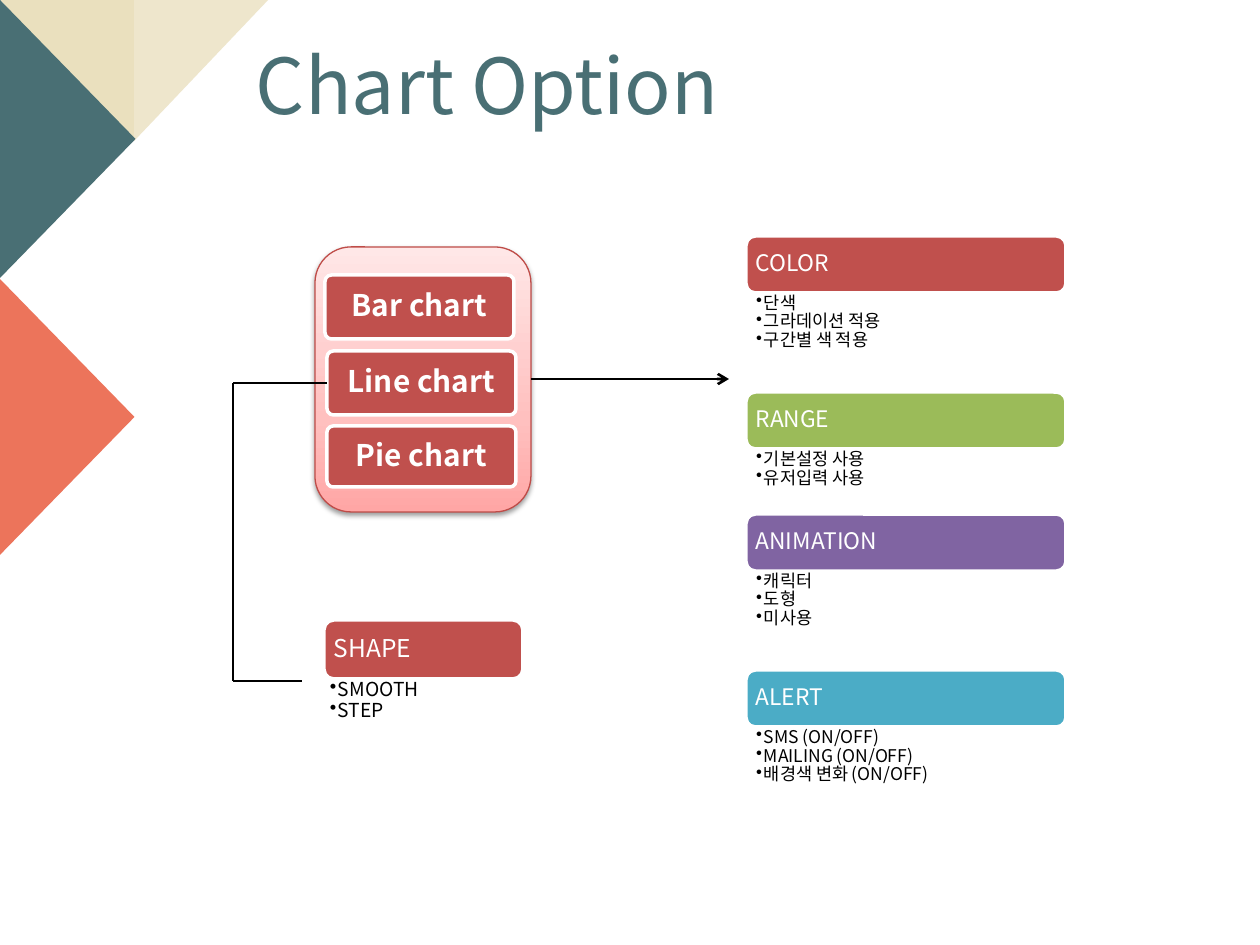
from dataclasses import dataclass

from lxml import etree
from pptx import Presentation
from pptx import util as u
from pptx.dml.color import RGBColor
from pptx.enum import shapes, text
from pptx.oxml import parse_xml
from pptx.oxml.ns import qn

FONT = "Noto Sans CJK KR"
WHITE, BLACK, RED, TEAL = "FFFFFF", "000000", "C0504D", "496F74"
DRAWING = 'xmlns:a="http://schemas.openxmlformats.org/drawingml/2006/main"'
ROUNDED = shapes.MSO_SHAPE.ROUNDED_RECTANGLE
MIDDLE = text.MSO_ANCHOR.MIDDLE
OPTION_LEFT, OPTION_WIDTH, OPTION_TOP, HEADER_STEP = 746, 320, 236, 56


@dataclass(frozen=True)
class Area:
    left: int
    top: int
    width: int
    height: int


@dataclass(frozen=True)
class Triangle:
    area: Area
    kind: shapes.MSO_SHAPE
    fill: str
    turn: int
    mirrored: bool = False


@dataclass(frozen=True)
class Option:
    title: str
    fill: str
    items: tuple[str, ...]


TRIANGLES = (
    Triangle(Area(0, 0, 134, 141), shapes.MSO_SHAPE.RIGHT_TRIANGLE, "EAE0BE", 180),
    Triangle(Area(134, 0, 134, 141), shapes.MSO_SHAPE.RIGHT_TRIANGLE, "EEE6CC", 180, True),
    Triangle(Area(-72, 71, 279, 136), shapes.MSO_SHAPE.ISOSCELES_TRIANGLE, TEAL, 90),
    Triangle(Area(-73, 349, 279, 136), shapes.MSO_SHAPE.ISOSCELES_TRIANGLE, "EC745B", 90),
)
CHARTS = (
    ("Bar chart", Area(325, 275, 189, 64)),
    ("Line chart", Area(327, 351, 189, 64)),
    ("Pie chart", Area(327, 426, 189, 61)),
)
OPTIONS = (
    Option("COLOR", RED, ("단색", "그라데이션 적용", "구간별 색 적용")),
    Option("RANGE", "9BBB59", ("기본설정 사용", "유저입력 사용")),
    Option("ANIMATION", "8064A2", ("캐릭터", "도형", "미사용")),
    Option("ALERT", "4BACC6", ("SMS (ON/OFF)", "MAILING (ON/OFF)", "배경색 변화 (ON/OFF)")),
)
SHAPE_OPTION = Option("SHAPE", RED, ("SMOOTH", "STEP"))


def px(length: int) -> u.Emu:
    return u.Emu(round(length * 914400 / 126))


def colour(value: str) -> RGBColor:
    return RGBColor.from_string(value)


def place(area: Area) -> tuple[u.Emu, ...]:
    return px(area.left), px(area.top), px(area.width), px(area.height)


def add_block(page, area: Area, kind, fill: str, line: str = "", width: float = 2):
    block = page.shapes.add_shape(kind, *place(area))
    block.shadow.inherit = False
    block.fill.solid()
    block.fill.fore_color.rgb = colour(fill)
    if line:
        block.line.color.rgb = colour(line)
        block.line.width = u.Pt(width)
    else:
        block.line.fill.background()
    return block


def write(box, lines: tuple[str, ...], size: int, ink: str, *, bold: bool = False,
          align=text.PP_ALIGN.LEFT, anchor=text.MSO_ANCHOR.TOP,
          insets: tuple[int, int] = (13, 6), bullets: bool = False) -> None:
    frame = box.text_frame
    frame.word_wrap = True
    frame.vertical_anchor = anchor
    frame.margin_left = frame.margin_right = px(insets[0])
    frame.margin_top = frame.margin_bottom = px(insets[1])
    for index, line in enumerate(lines):
        para = frame.add_paragraph() if index else frame.paragraphs[0]
        span = para.add_run()
        span.text = line
        para.alignment = align
        para.line_spacing = 0.9
        para.font.size = u.Pt(size)
        para.font.name = FONT
        para.font.bold = bold
        para.font.color.rgb = colour(ink)
        fonts = span._r.get_or_add_rPr()
        etree.SubElement(fonts, qn("a:ea")).set("typeface", FONT)
        if bullets:
            props = para._p.get_or_add_pPr()
            props.set("marL", str(px(8)))
            props.set("indent", str(px(-8)))
            mark = parse_xml(f'<a:buChar {DRAWING} char="•"/>')
            props.insert_element_before(mark, "a:tabLst", "a:defRPr", "a:extLst")


def add_triangle(page, triangle: Triangle) -> None:
    block = add_block(page, triangle.area, triangle.kind, triangle.fill)
    block.rotation = triangle.turn
    if triangle.mirrored:
        block._element.spPr.find(qn("a:xfrm")).set("flipH", "1")


def add_panel(page, area: Area) -> None:
    panel = add_block(page, area, ROUNDED, "FFC0BF", "BF4C48", 0.75)
    props = panel._element.spPr
    stops = "".join(
        f'<a:gs pos="{place * 1000}"><a:srgbClr val="{value}"/></a:gs>'
        for place, value in ((0, "FFA6A5"), (35, "FFC0BF"), (100, "FFE7E7")))
    props.replace(props.find(qn("a:solidFill")), parse_xml(
        f'<a:gradFill {DRAWING} rotWithShape="1"><a:gsLst>{stops}</a:gsLst>'
        '<a:lin ang="16200000" scaled="1"/></a:gradFill>'))
    props.find(qn("a:effectLst")).append(parse_xml(
        f'<a:outerShdw {DRAWING} blurRad="{u.Pt(3.1)}" dist="{u.Pt(1.6)}" dir="5400000" '
        f'rotWithShape="0"><a:srgbClr val="{BLACK}"><a:alpha val="38000"/></a:srgbClr>'
        '</a:outerShdw>'))


def add_option(page, option: Option, header: Area, body_height: int,
               sizes: tuple[int, int], body_inset: int) -> None:
    block = add_block(page, header, ROUNDED, option.fill, WHITE)
    write(block, (option.title,), sizes[0], WHITE, anchor=MIDDLE, insets=(7, 6))
    body = Area(header.left, header.top + header.height - 1, header.width, body_height)
    box = page.shapes.add_textbox(*place(body))
    write(box, option.items, sizes[1], BLACK, insets=(body_inset, 2), bullets=True)


def add_line(page, start: tuple[int, int], end: tuple[int, int], arrow: bool = False) -> None:
    line = page.shapes.add_connector(
        shapes.MSO_CONNECTOR.STRAIGHT, *map(px, start), *map(px, end))
    line.line.color.rgb = colour(BLACK)
    line.line.width = u.Pt(1.5)
    if arrow:
        etree.SubElement(line.line._get_or_add_ln(), qn("a:tailEnd")).set("type", "arrow")
    etree.SubElement(line._element.spPr, qn("a:effectLst"))


def main() -> None:
    deck = Presentation()
    deck.slide_width, deck.slide_height = px(1260), px(945)
    page = deck.slides.add_slide(deck.slide_layouts[6])

    for triangle in TRIANGLES:
        add_triangle(page, triangle)
    add_panel(page, Area(315, 247, 216, 265))
    title = page.shapes.add_textbox(*place(Area(243, 42, 968, 124)))
    write(title, ("Chart Option",), 44, TEAL)

    for name, area in CHARTS:
        block = add_block(page, area, ROUNDED, RED, WHITE)
        block.adjustments[0] = 0.1
        write(block, (name,), 17, WHITE, bold=True, align=text.PP_ALIGN.CENTER,
              anchor=MIDDLE, insets=(5, 3))

    add_line(page, (327, 383), (233, 383))
    add_line(page, (233, 383), (233, 681))
    add_line(page, (302, 681), (233, 681))
    add_line(page, (531, 379), (729, 379), arrow=True)

    top = OPTION_TOP
    for option in OPTIONS:
        body_height = 34 * len(option.items) - 2
        header = Area(OPTION_LEFT, top, OPTION_WIDTH, HEADER_STEP + 1)
        add_option(page, option, header, body_height, (13, 10), 10)
        top += HEADER_STEP + body_height
    add_option(page, SHAPE_OPTION, Area(324, 620, 199, 59), 72, (14, 11), 6)

    deck.save("out.pptx")


if __name__ == "__main__":
    main()
